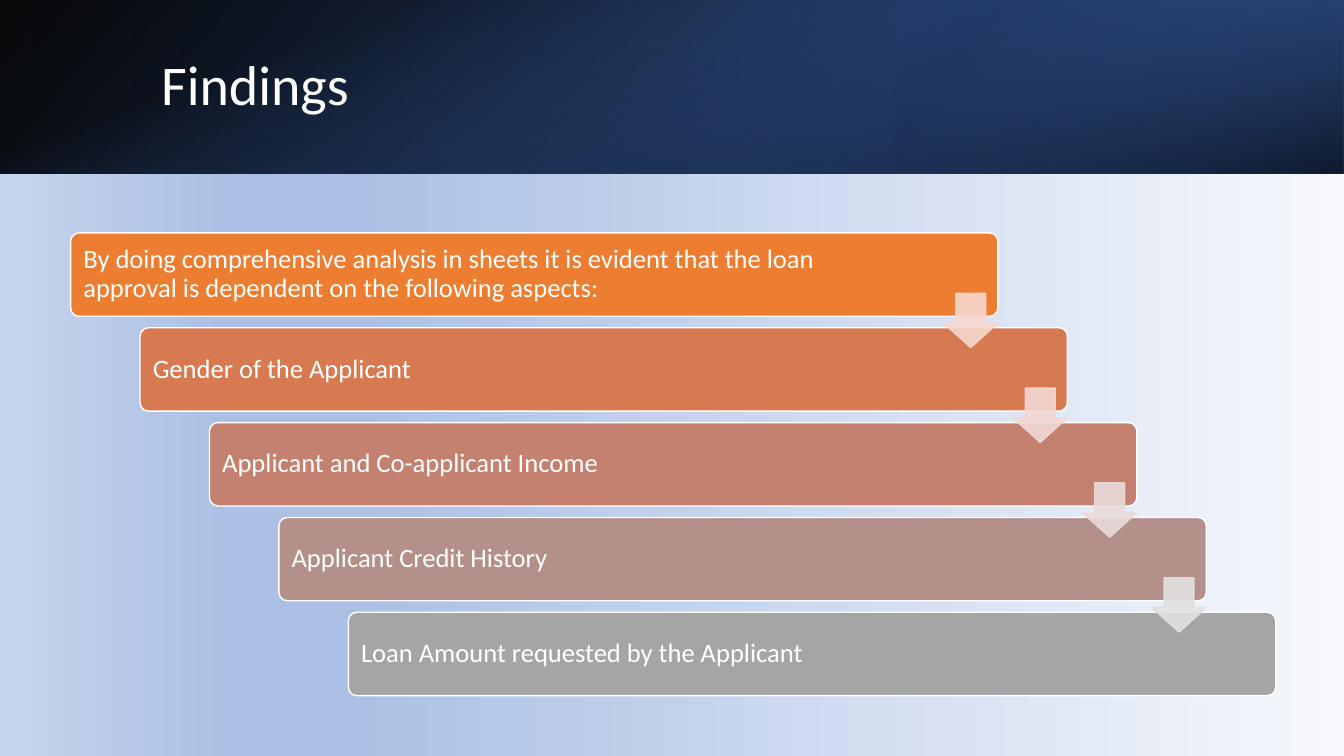
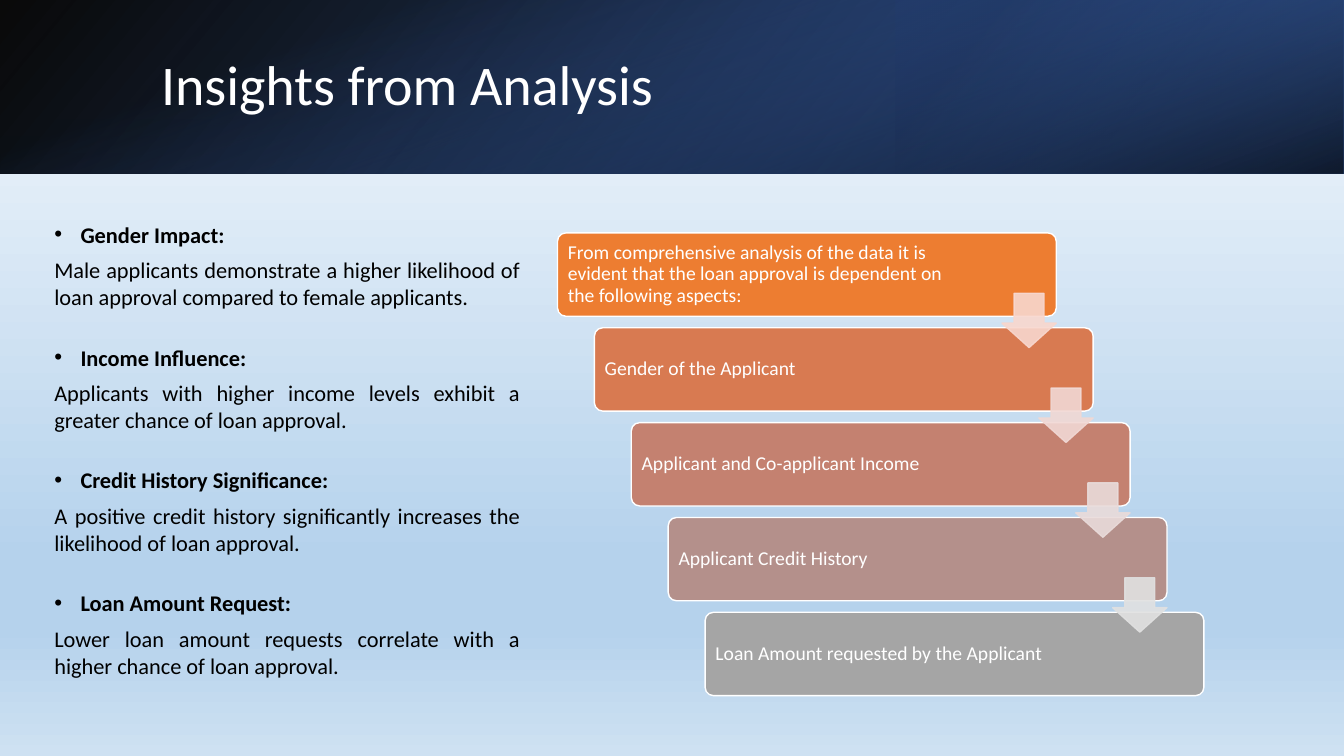
"""Build two slides on loan approval findings, each with a staircase of linked steps."""
from dataclasses import dataclass
from typing import NamedTuple

from lxml.etree import SubElement
from pptx import Presentation
from pptx.dml.color import RGBColor
from pptx.enum.shapes import MSO_SHAPE
from pptx.enum.text import MSO_ANCHOR, PP_ALIGN
from pptx.oxml.ns import qn
from pptx.shapes.autoshape import Shape
from pptx.slide import Slide
from pptx.text.text import _Paragraph as Paragraph
from pptx.util import Cm, Pt


class Stop(NamedTuple):
    position: int
    color: str
    opacity: int = 100


class Gradient(NamedTuple):
    angle: int
    stops: tuple[Stop, ...]


@dataclass(frozen=True)
class Band:
    left: float
    top: float
    width: float
    height: float
    gradient: Gradient
    rotation: int = 0
    flipped: bool = False


@dataclass(frozen=True)
class Staircase:
    left: float
    width: float
    shift: float
    inset: float
    text_size: int
    heading: str


class Insight(NamedTuple):
    heading: str
    body: str


@dataclass(frozen=True)
class Theme:
    font: str = "Calibri"
    light: str = "FFFFFF"
    dark: str = "000000"
    title_size: int = 40
    body_size: int = 16
    step_fills: tuple[str, ...] = ("ED7D31", "D87A51", "C48170", "B4908B", "A5A5A5")
    arrow_fills: tuple[str, ...] = ("F8D7CE", "F1D8D4", "E9DBDA", "E1E1E1")
    arrow_opacity: int = 90


THEME = Theme()
PAGE_WIDTH, PAGE_HEIGHT, BAND_HEIGHT = 33.87, 19.05, 4.37
STEP_TOP, STEP_HEIGHT, STEP_PITCH = 5.87, 2.1, 2.39
STEP_RIGHT_INSET = 2.62
ARROW_SIZE, ARROW_DROP = 1.37, 1.52
BULLET_INDENT = 0.66

BAND_OFFSET = (PAGE_WIDTH - BAND_HEIGHT) / 2
BANDS = (
    Band(0, 0, PAGE_WIDTH, BAND_HEIGHT,
         Gradient(140, (Stop(0, "000000", 96), Stop(100, "2F5597"))), flipped=True),
    Band(PAGE_WIDTH * 2 / 3, 0, PAGE_WIDTH / 3, BAND_HEIGHT,
         Gradient(320, (Stop(19, "203864", 68), Stop(100, "4472C4", 79))), 180, True),
    Band(BAND_OFFSET, -BAND_OFFSET, BAND_HEIGHT, PAGE_WIDTH,
         Gradient(340, (Stop(23, "4472C4", 0), Stop(99, "000000", 74))), 90),
)

FINDINGS_BACKGROUND = Gradient(180, (
    Stop(0, "F6F8FC"), Stop(74, "ABC0E4"), Stop(83, "ABC0E4"), Stop(100, "C7D5ED")))
INSIGHTS_BACKGROUND = Gradient(90, (
    Stop(0, "F7FAFD"), Stop(74, "B5D2EC"), Stop(83, "B5D2EC"), Stop(100, "CEE1F2")))

ASPECTS = (
    "Gender of the Applicant",
    "Applicant and Co-applicant Income",
    "Applicant Credit History",
    "Loan Amount requested by the Applicant",
)
FINDINGS_STAIRCASE = Staircase(
    1.78, 23.37, 1.75, 0.26, 19,
    "By doing comprehensive analysis in sheets it is evident that the loan approval "
    "is dependent on the following aspects:")
INSIGHTS_STAIRCASE = Staircase(
    14.05, 12.57, 0.93, 0.2, 14,
    "From comprehensive analysis of the data it is evident that the loan approval "
    "is dependent on the following aspects:")
INSIGHTS = (
    Insight("Gender Impact:",
            "Male applicants demonstrate a higher likelihood of loan approval "
            "compared to female applicants."),
    Insight("Income Influence:",
            "Applicants with higher income levels exhibit a greater chance of loan approval."),
    Insight("Credit History Significance:",
            "A positive credit history significantly increases the likelihood of loan approval."),
    Insight("Loan Amount Request:",
            "Lower loan amount requests correlate with a higher chance of loan approval."),
)


def add_gradient(properties, gradient: Gradient) -> None:
    """Swap the solid fill in a properties element for a linear gradient."""
    solid = properties.find(qn("a:solidFill"))
    fill = SubElement(properties, qn("a:gradFill"), rotWithShape="1")
    stop_list = SubElement(fill, qn("a:gsLst"))
    for stop in gradient.stops:
        mark = SubElement(stop_list, qn("a:gs"), pos=str(stop.position * 1000))
        color = SubElement(mark, qn("a:srgbClr"), val=stop.color)
        if stop.opacity < 100:
            SubElement(color, qn("a:alpha"), val=str(stop.opacity * 1000))
    SubElement(fill, qn("a:lin"), ang=str(gradient.angle * 60000), scaled="0")
    properties.replace(solid, fill)


def add_span(para: Paragraph, text: str, size: int, color: str, bold: bool = False) -> None:
    """Add one styled run to a paragraph."""
    span = para.add_run()
    span.text = text
    span.font.name = THEME.font
    span.font.size = Pt(size)
    span.font.bold = bold
    span.font.color.rgb = RGBColor.from_string(color)


def add_box(page: Slide, kind: MSO_SHAPE, left: float, top: float, width: float,
            height: float, fill: str, line: str | None = None) -> Shape:
    """Add a flat preset shape, outlined when a line colour is given."""
    box = page.shapes.add_shape(kind, Cm(left), Cm(top), Cm(width), Cm(height))
    box.shadow.inherit = False
    box.fill.solid()
    box.fill.fore_color.rgb = RGBColor.from_string(fill)
    if line is None:
        box.line.fill.background()
    else:
        box.line.color.rgb = RGBColor.from_string(line)
        box.line.width = Pt(1)
    return box


def add_page(deck: Presentation, title: str, background: Gradient) -> Slide:
    """Add a page with its background, top bands and title."""
    page = deck.slides.add_slide(deck.slide_layouts[6])
    page.background.fill.solid()
    add_gradient(page.element.find(".//" + qn("p:bgPr")), background)
    for band in BANDS:
        box = add_box(page, MSO_SHAPE.RECTANGLE, band.left, band.top,
                      band.width, band.height, THEME.dark)
        add_gradient(box.element.spPr, band.gradient)
        box.rotation = band.rotation
        if band.flipped:
            box.element.spPr.find(qn("a:xfrm")).set("flipH", "1")
    frame = page.shapes.add_textbox(Cm(3.81), Cm(0.97), Cm(27.89), Cm(2.44)).text_frame
    frame.word_wrap = True
    frame.vertical_anchor = MSO_ANCHOR.MIDDLE
    para = frame.paragraphs[0]
    para.line_spacing = 0.9
    add_span(para, title, THEME.title_size, THEME.light)
    return page


def add_step(page: Slide, stairs: Staircase, index: int, text: str) -> None:
    """Add one labelled step of the staircase."""
    box = add_box(page, MSO_SHAPE.ROUNDED_RECTANGLE, stairs.left + index * stairs.shift,
                  STEP_TOP + index * STEP_PITCH, stairs.width, STEP_HEIGHT,
                  THEME.step_fills[index], THEME.light)
    box.adjustments[0] = 0.1
    frame = box.text_frame
    frame.word_wrap = True
    frame.vertical_anchor = MSO_ANCHOR.MIDDLE
    frame.margin_left = Cm(stairs.inset)
    frame.margin_right = Cm(STEP_RIGHT_INSET)
    frame.margin_top = frame.margin_bottom = Cm(0.1)
    para = frame.paragraphs[0]
    para.alignment = PP_ALIGN.LEFT
    para.line_spacing = 0.9
    add_span(para, text, stairs.text_size, THEME.light)


def add_staircase(page: Slide, stairs: Staircase) -> None:
    """Add all steps, then the arrows that lead from each to the next."""
    for index, text in enumerate((stairs.heading, *ASPECTS)):
        add_step(page, stairs, index, text)
    for index, color in enumerate(THEME.arrow_fills):
        right = stairs.left + stairs.width + index * stairs.shift
        arrow = add_box(page, MSO_SHAPE.DOWN_ARROW, right - ARROW_SIZE,
                        STEP_TOP + ARROW_DROP + index * STEP_PITCH,
                        ARROW_SIZE, ARROW_SIZE, color, color)
        arrow.adjustments[0] = 0.55
        arrow.adjustments[1] = 0.45
        for shade in arrow.element.spPr.findall(".//" + qn("a:srgbClr")):
            SubElement(shade, qn("a:alpha"), val=str(THEME.arrow_opacity * 1000))


def add_insights(page: Slide) -> None:
    """Add the column of bulleted headings with their explanations."""
    frame = page.shapes.add_textbox(Cm(1.12), Cm(5.44), Cm(12.24), Cm(12.65)).text_frame
    frame.word_wrap = True
    for index, insight in enumerate(INSIGHTS):
        heading = frame.add_paragraph() if index else frame.paragraphs[0]
        properties = heading._p.get_or_add_pPr()
        properties.set("marL", str(Cm(BULLET_INDENT)))
        properties.set("indent", str(-Cm(BULLET_INDENT)))
        SubElement(properties, qn("a:buFont"), typeface="Arial")
        SubElement(properties, qn("a:buChar"), char="•")
        body = frame.add_paragraph()
        for para, gap in ((heading, 6), (body, 24.2)):
            para.alignment = PP_ALIGN.JUSTIFY
            para.space_after = Pt(gap)
        add_span(heading, insight.heading, THEME.body_size, THEME.dark, bold=True)
        add_span(body, insight.body, THEME.body_size, THEME.dark)


def main() -> None:
    """Build and save the deck."""
    deck = Presentation()
    deck.slide_width, deck.slide_height = Cm(PAGE_WIDTH), Cm(PAGE_HEIGHT)
    findings = add_page(deck, "Findings", FINDINGS_BACKGROUND)
    add_staircase(findings, FINDINGS_STAIRCASE)
    insights = add_page(deck, "Insights from Analysis", INSIGHTS_BACKGROUND)
    add_staircase(insights, INSIGHTS_STAIRCASE)
    add_insights(insights)
    deck.save("out.pptx")


if __name__ == "__main__":
    main()
